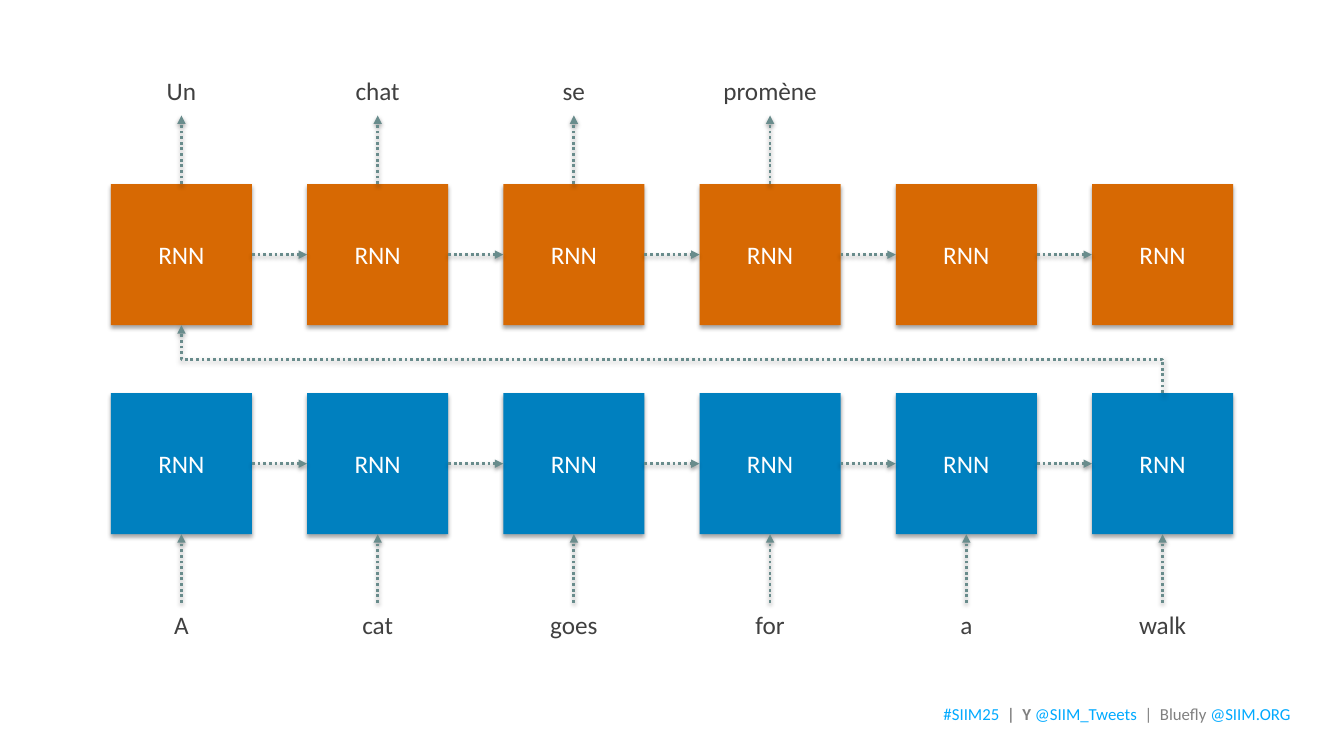
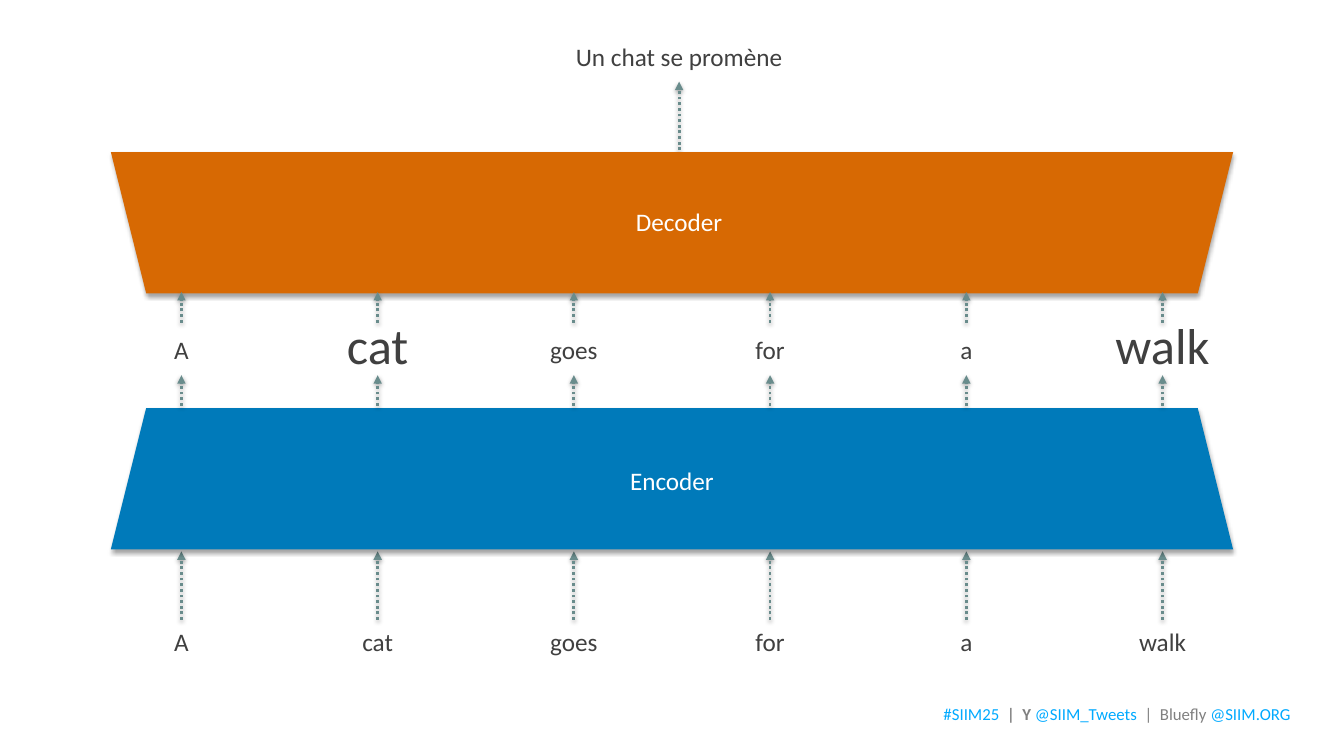
from lxml import etree
from pptx import Presentation
from pptx import util as u
from pptx.dml.color import RGBColor
from pptx.enum import dml, shapes, text
from pptx.oxml.ns import qn

BLUE = RGBColor(0x00, 0x80, 0xBF)
ENCODER_BLUE = RGBColor(0x00, 0x7A, 0xBA)
ORANGE = RGBColor(0xD7, 0x69, 0x03)
ARROW = RGBColor(0x69, 0x8C, 0x8C)
INK = RGBColor(0x40, 0x40, 0x40)
WHITE = RGBColor(0xFF, 0xFF, 0xFF)
LINK = RGBColor(0x00, 0xAA, 0xFF)
GREY = RGBColor(0x80, 0x80, 0x80)
DARK_GREY = RGBColor(0x59, 0x59, 0x59)

FONT = "Calibri"
WIDTH, HEIGHT = u.Inches(13.33), u.Inches(7.5)
COLUMNS = 6
LEFT, SPAN, CELL = 8.25, 83.5, 10.5
BAND = 18.67
ARROW_RISE = 9.07
OUTPUT_X = 50.53

SOURCE = ["A", "cat", "goes", "for", "a", "walk"]
TARGET = ["Un", "chat", "se", "promène"]
FOOTER = [
    ("#SIIM25  ", LINK, False),
    ("|  ", DARK_GREY, False),
    ("Y ", GREY, True),
    ("@SIIM_Tweets  ", LINK, False),
    ("|  Bluefly ", GREY, False),
    ("@SIIM.ORG", LINK, False),
]


def across(share):
    """Turn a percentage of the slide width into a length."""
    return u.Emu(round(WIDTH * share / 100))


def down(share):
    """Turn a percentage of the slide height into a length."""
    return u.Emu(round(HEIGHT * share / 100))


def column_left(i):
    """Return the left edge of a grid column as a share of the width."""
    return LEFT + i * (SPAN - CELL) / (COLUMNS - 1)


def column_centre(i):
    """Return the centre of a grid column as a share of the width."""
    return column_left(i) + CELL / 2


def add_shadow(sp, distance, opacity):
    """Give a shape or connector a soft shadow falling downwards."""
    effects = etree.SubElement(sp._element.spPr, qn("a:effectLst"))
    shadow = etree.SubElement(
        effects, qn("a:outerShdw"), blurRad="40000", dist=str(distance),
        dir="5400000", rotWithShape="0")
    colour = etree.SubElement(shadow, qn("a:srgbClr"), val="000000")
    etree.SubElement(colour, qn("a:alpha"), val=str(opacity * 1000))


def style_run(r, size, colour, bold=False):
    """Set the font of one run."""
    r.font.name = FONT
    r.font.size = u.Pt(size)
    r.font.bold = bold
    r.font.color.rgb = colour


def set_label(sp, label, size, colour):
    """Write one centred line of text into a shape."""
    p = sp.text_frame.paragraphs[0]
    p.text = label
    p.alignment = text.PP_ALIGN.CENTER
    style_run(p.runs[0], size, colour)


def add_block(s, kind, left, top, width, colour, label=""):
    """Add a filled block one band high, with an optional label."""
    sp = s.shapes.add_shape(kind, across(left), down(top), across(width), down(BAND))
    sp.fill.solid()
    sp.fill.fore_color.rgb = colour
    sp.line.fill.background()
    add_shadow(sp, 23000, 35)
    sp.text_frame.vertical_anchor = text.MSO_ANCHOR.MIDDLE
    if label:
        set_label(sp, label, 18, WHITE)
    return sp


def add_word(s, centre, top, word, size=18, colour=INK):
    """Add a line of text centred on a vertical axis."""
    width = 2 * CELL
    box = s.shapes.add_textbox(
        across(centre - width / 2), down(top), across(width), down(5.6))
    tf = box.text_frame
    tf.word_wrap = True
    tf.margin_left = tf.margin_right = u.Inches(0.13)
    tf.margin_top = tf.margin_bottom = u.Inches(0.07)
    set_label(box, word, size, colour)


def add_arrow(s, x1, y1, x2, y2, kind=shapes.MSO_CONNECTOR.STRAIGHT):
    """Add a dotted arrow between two points given as lengths."""
    arrow = s.shapes.add_connector(kind, x1, y1, x2, y2)
    arrow.line.color.rgb = ARROW
    arrow.line.width = u.Pt(2)
    arrow.line.dash_style = dml.MSO_LINE.ROUND_DOT
    etree.SubElement(arrow.line._get_or_add_ln(), qn("a:tailEnd"), type="triangle")
    add_shadow(arrow, 20000, 38)
    return arrow


def add_rise(s, centre, bottom, top):
    """Add an upward arrow on a vertical axis."""
    return add_arrow(s, across(centre), down(bottom), across(centre), down(top))


def add_turn(s, start, end):
    """Lead an elbow arrow from the top of one cell to the bottom of another."""
    x1, y1 = start.left + start.width // 2, start.top
    x2, y2 = end.left + end.width // 2, end.top + end.height
    middle_x, middle_y = (x1 + x2) // 2, (y1 + y2) // 2
    half_run, half_rise = (x1 - x2) // 2, (y1 - y2) // 2
    arrow = add_arrow(
        s, middle_x - half_rise, middle_y + half_run,
        middle_x + half_rise, middle_y - half_run, shapes.MSO_CONNECTOR.ELBOW)
    arrow._element.spPr.get_or_add_xfrm().set("rot", "16200000")


def add_rnn_row(s, top, colour):
    """Add a row of RNN cells chained from left to right."""
    cells = [
        add_block(s, shapes.MSO_SHAPE.RECTANGLE, column_left(i), top, CELL, colour, "RNN")
        for i in range(COLUMNS)]
    for cell, following in zip(cells, cells[1:]):
        y = cell.top + cell.height // 2
        arrow = add_arrow(s, cell.left + cell.width, y, following.left, y)
        arrow.begin_connect(cell, 3)
        arrow.end_connect(following, 1)
    return cells


def add_words(s, words, top, large=()):
    """Place words on the grid columns, enlarging the chosen ones."""
    for i, word in enumerate(words):
        if word in large:
            add_word(s, column_centre(i), top - 2.75, word, 36)
        else:
            add_word(s, column_centre(i), top, word)


def add_rises(s, bottom, top):
    """Add one upward arrow for every grid column."""
    for i in range(COLUMNS):
        add_rise(s, column_centre(i), bottom, top)


def add_footer(s):
    """Add the social line at the lower right."""
    box = s.shapes.add_textbox(across(70.2), down(92.93), across(26.85), down(2.93))
    tf = box.text_frame
    tf.word_wrap = True
    tf.vertical_anchor = text.MSO_ANCHOR.MIDDLE
    tf.margin_left = tf.margin_right = tf.margin_top = tf.margin_bottom = 0
    for words, colour, bold in FOOTER:
        r = tf.paragraphs[0].add_run()
        r.text = words
        style_run(r, 12, colour, bold)


def build_rnn_slide(s):
    """Show the sentence passing through two chains of RNN cells."""
    input_top, output_top = 52, 24.35
    add_footer(s)
    inputs = add_rnn_row(s, input_top, BLUE)
    outputs = add_rnn_row(s, output_top, ORANGE)
    add_turn(s, inputs[-1], outputs[0])
    input_bottom = input_top + BAND
    for i, cell in enumerate(inputs):
        arrow = add_rise(s, column_centre(i), input_bottom + ARROW_RISE, input_bottom)
        arrow.end_connect(cell, 2)
    for i, cell in enumerate(outputs[:len(TARGET)]):
        arrow = add_rise(s, column_centre(i), output_top, output_top - ARROW_RISE)
        arrow.begin_connect(cell, 0)
    add_words(s, SOURCE, 79.67)
    add_words(s, TARGET, 9.07)


def build_encoder_slide(s):
    """Show the sentence passing through an encoder and a decoder."""
    trapezoid = shapes.MSO_SHAPE.TRAPEZOID
    add_footer(s)
    add_rises(s, 82, 82 - ARROW_RISE)
    add_rise(s, OUTPUT_X, 19.87, 19.87 - ARROW_RISE)
    add_words(s, SOURCE, 81.95)
    add_word(s, OUTPUT_X, 4.53, "Un chat se promène")
    add_block(s, trapezoid, LEFT, 54, SPAN, ENCODER_BLUE, "Encoder")
    add_block(s, trapezoid, LEFT, 20.13, SPAN, ORANGE).rotation = 180
    add_rises(s, 53.67, 49.63)
    add_rises(s, 42.67, 38.63)
    add_words(s, SOURCE, 43.33, large=("cat", "walk"))
    add_word(s, OUTPUT_X, 26.4, "Decoder", colour=WHITE)


def main():
    """Build and save the presentation."""
    prs = Presentation()
    prs.slide_width, prs.slide_height = WIDTH, HEIGHT
    for build in (build_rnn_slide, build_encoder_slide):
        build(prs.slides.add_slide(prs.slide_layouts[6]))
    prs.save("out.pptx")


if __name__ == "__main__":
    main()
